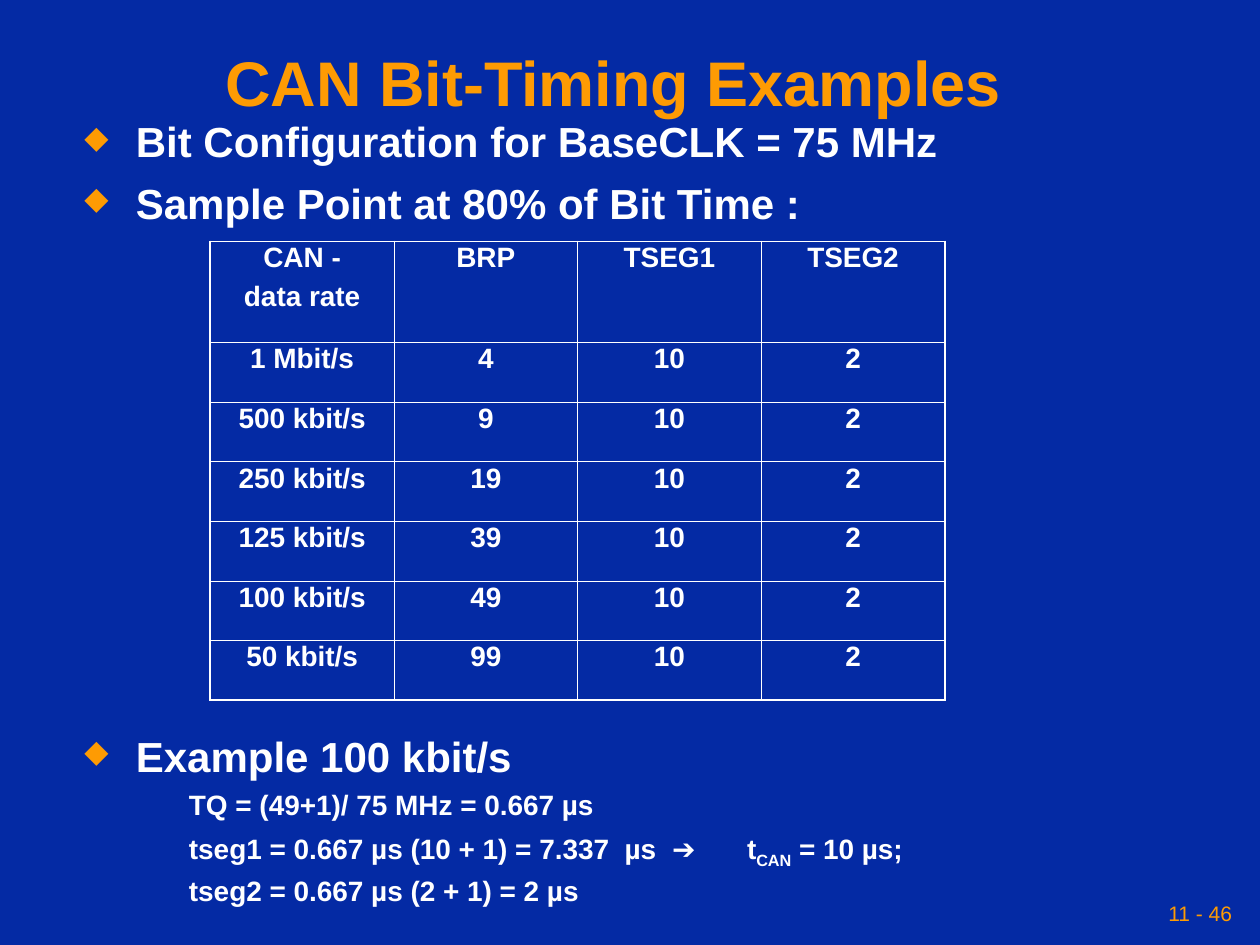
from dataclasses import dataclass
from typing import NamedTuple

from pptx import Presentation
from pptx import util as u
from pptx.dml.color import RGBColor
from pptx.enum import text as t
from pptx.oxml import parse_xml
from pptx.oxml.ns import nsdecls


@dataclass(frozen=True)
class Theme:
    font: str = "Arial"
    back: str = "042AA4"
    accent: str = "FE9B03"
    body: str = "FFFFFF"
    title_size: float = 36
    bullet_size: float = 24
    small_size: float = 16
    footer_size: float = 12
    outer_line: float = 1.08
    inner_line: float = 0.45
    line_spacing: float = 0.8


class Box(NamedTuple):
    left: float
    top: float
    width: float
    height: float

    def lengths(self) -> list:
        return [u.Cm(v) for v in self]


class Line(NamedTuple):
    """One body paragraph; runs pair a text with its baseline shift in percent."""
    runs: list
    before: float
    bulleted: bool = False


THEME = Theme()
TITLE_BOX = Box(4.29, 0.74, 16.18, 1.78)
BODY_BOX = Box(0.84, 2.41, 24.56, 15.98)
TABLE_BOX = Box(4.24, 4.87, 14.81, 9.24)
FOOTER_BOX = Box(17.35, 17.98, 7.62, 0.84)
HEADER_HEIGHT = 2.04
BULLET_LEFT, BULLET_HANG = 1.65, 1.04
FORMULA_LEFT, RESULT_TAB = 2.72, 14.17
TABLE_GAP = 293

ROWS = [("CAN -\ndata rate", "BRP", "TSEG1", "TSEG2")] + [
    (rate, brp, "10", "2") for rate, brp in (
        ("1 Mbit/s", "4"), ("500 kbit/s", "9"), ("250 kbit/s", "19"),
        ("125 kbit/s", "39"), ("100 kbit/s", "49"), ("50 kbit/s", "99"))]

LINES = [
    Line([("Bit Configuration for BaseCLK = 75 MHz", 0)], 0, True),
    Line([("Sample Point at 80% of Bit Time :", 0)], 12, True),
    Line([("Example 100 kbit/s", 0)], TABLE_GAP, True),
    Line([("TQ = (49+1)/ 75 MHz = 0.667 µs", 0)], 8),
    Line([("tseg1 = 0.667 µs (10 + 1) = 7.337  µs  ➔\tt", 0),
          ("CAN", -25), (" = 10 µs;", 0)], 8),
    Line([("tseg2 = 0.667 µs (2 + 1) = 2 µs", 0)], 8),
]


def style(font, size: float, color: str, bold: bool = True) -> None:
    for name, value in dict(name=THEME.font, size=u.Pt(size), bold=bold).items():
        setattr(font, name, value)
    font.color.rgb = RGBColor.from_string(color)


def format_paragraph(p, before: float, **values) -> None:
    values |= dict(line_spacing=THEME.line_spacing, space_before=u.Pt(before))
    for name, value in values.items():
        setattr(p, name, value)


def place(sp, box: Box) -> None:
    for name, value in zip(box._fields, box.lengths()):
        setattr(sp, name, value)


def add_title(s) -> None:
    sp = s.shapes.title
    place(sp, TITLE_BOX)
    tf = sp.text_frame
    tf.text = "CAN Bit-Timing Examples"
    for name, value in dict(word_wrap=False, vertical_anchor=t.MSO_ANCHOR.TOP,
                            auto_size=t.MSO_AUTO_SIZE.SHAPE_TO_FIT_TEXT).items():
        setattr(tf, name, value)
    p = tf.paragraphs[0]
    p.alignment = t.PP_ALIGN.LEFT
    style(p.runs[0].font, THEME.title_size, THEME.accent)


def set_indent(p, bulleted: bool) -> None:
    """Hang a bulleted line; give a formula a first-line indent and a result tab."""
    pPr = p._p.get_or_add_pPr()
    left, indent = (BULLET_LEFT, -BULLET_HANG) if bulleted else (0, FORMULA_LEFT)
    pPr.set("marL", str(u.Cm(left)))
    pPr.set("indent", str(u.Cm(indent)))
    ns = nsdecls("a")
    if bulleted:
        parts = [f'<a:buClr {ns}><a:srgbClr val="{THEME.accent}"/></a:buClr>',
                 f'<a:buSzPct {ns} val="75000"/>',
                 f'<a:buChar {ns} char="◆"/>']
    else:
        parts = [f'<a:buNone {ns}/>',
                 f'<a:tabLst {ns}><a:tab pos="{u.Cm(RESULT_TAB)}" algn="l"/></a:tabLst>']
    for part in parts:
        pPr.append(parse_xml(part))


def add_body(s) -> None:
    tf = s.shapes.add_textbox(*BODY_BOX.lengths()).text_frame
    tf.word_wrap = True
    for i, line in enumerate(LINES):
        p = tf.add_paragraph() if i else tf.paragraphs[0]
        set_indent(p, line.bulleted)
        format_paragraph(p, line.before, level=0 if line.bulleted else 1)
        for words, shift in line.runs:
            r = p.add_run()
            r.text = words
            style(r.font, THEME.bullet_size if line.bulleted else THEME.small_size,
                  THEME.body)
            if shift:
                r.font._element.set("baseline", str(shift * 1000))


def set_borders(cell, outer: dict) -> None:
    """Draw the four sides, heavier where the side lies on the table's edge."""
    tcPr = cell._tc.get_or_add_tcPr()
    for side, is_outer in outer.items():
        width = u.Pt(THEME.outer_line if is_outer else THEME.inner_line)
        tcPr.append(parse_xml(
            f'<a:ln{side} {nsdecls("a")} w="{width}"><a:solidFill>'
            f'<a:srgbClr val="{THEME.body}"/></a:solidFill></a:ln{side}>'))


def add_timing_table(s) -> None:
    n_rows, n_cols = len(ROWS), len(ROWS[0])
    table = s.shapes.add_table(n_rows, n_cols, *TABLE_BOX.lengths()).table
    table.first_row = table.horz_banding = False
    row_height = (TABLE_BOX.height - HEADER_HEIGHT) / (n_rows - 1)
    for i, row in enumerate(ROWS):
        table.rows[i].height = u.Cm(row_height if i else HEADER_HEIGHT)
        for j, words in enumerate(row):
            cell = table.cell(i, j)
            set_borders(cell, dict(L=j == 0, R=j == n_cols - 1,
                                   T=i == 0, B=i == n_rows - 1))
            cell.fill.background()
            cell.text = words
            for k, p in enumerate(cell.text_frame.paragraphs):
                format_paragraph(p, 8 if k else 0, alignment=t.PP_ALIGN.CENTER)
                style(p.runs[0].font, THEME.small_size, THEME.body)


def add_page_number(s) -> None:
    tf = s.shapes.add_textbox(*FOOTER_BOX.lengths()).text_frame
    tf.word_wrap = True
    tf.vertical_anchor = t.MSO_ANCHOR.MIDDLE
    tf.margin_left = tf.margin_right = u.Cm(0.13)
    p = tf.paragraphs[0]
    p.alignment = t.PP_ALIGN.RIGHT
    r = p.add_run()
    r.text = "11 - 46"
    style(r.font, THEME.footer_size, THEME.accent, bold=False)


def main() -> None:
    prs = Presentation()
    prs.slide_width, prs.slide_height = u.Cm(25.4), u.Cm(19.05)
    s = prs.slides.add_slide(prs.slide_layouts.get_by_name("Title Only"))
    s.background.fill.solid()
    s.background.fill.fore_color.rgb = RGBColor.from_string(THEME.back)
    add_page_number(s)
    add_title(s)
    add_body(s)
    add_timing_table(s)
    prs.save("out.pptx")


if __name__ == "__main__":
    main()
